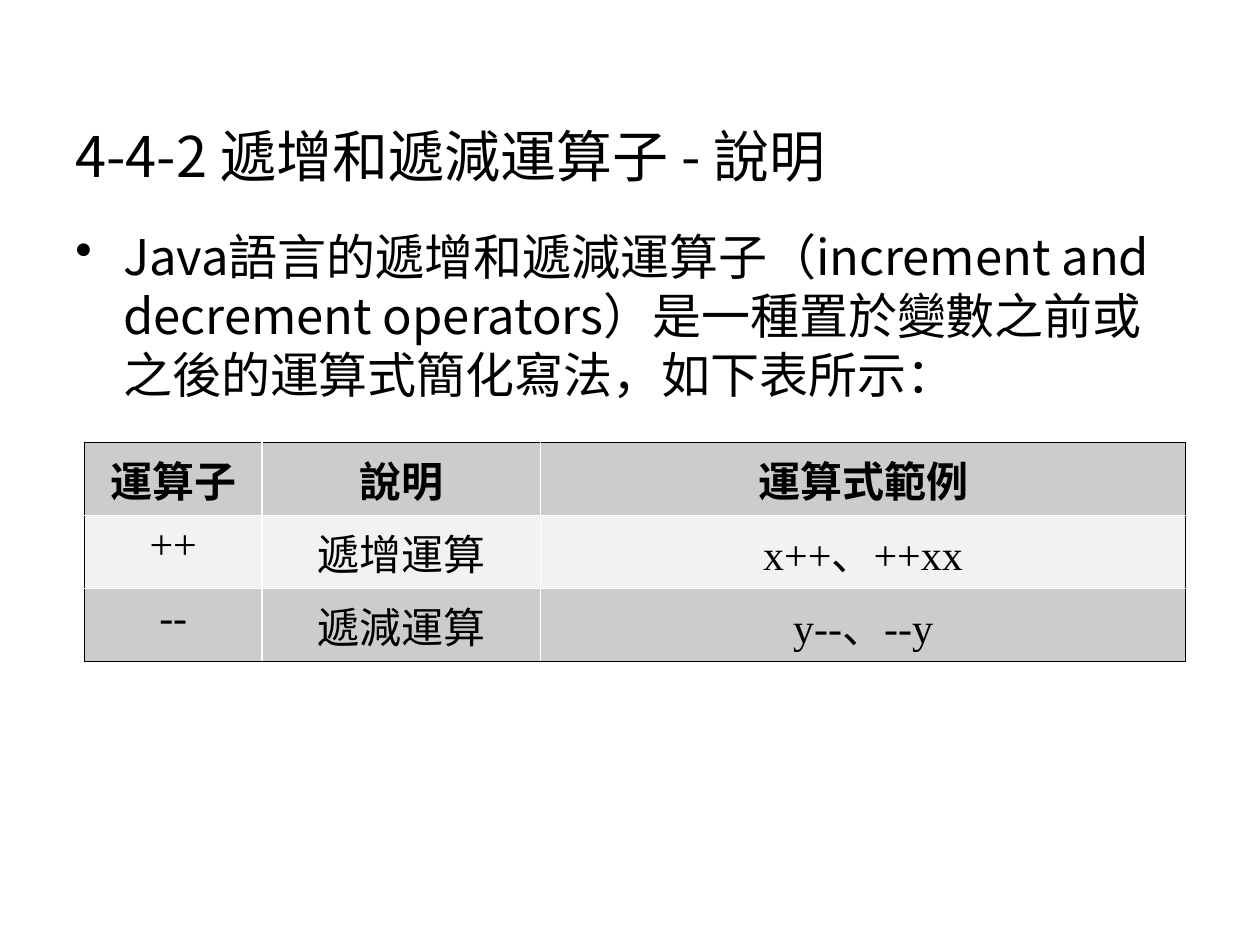
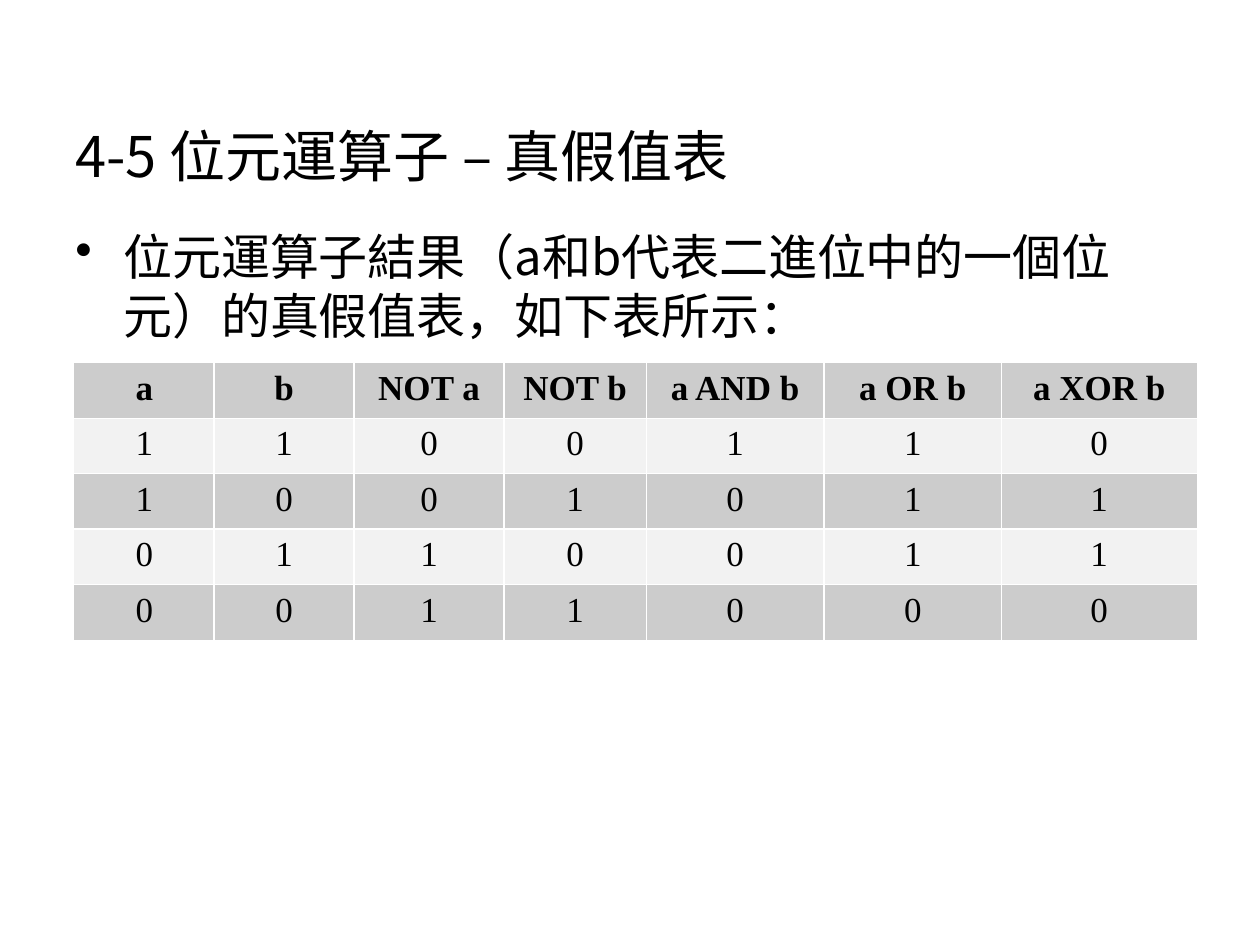
from lxml.etree import SubElement
from pptx import Presentation
from pptx.dml.color import RGBColor
from pptx.enum.text import MSO_ANCHOR, PP_ALIGN
from pptx.oxml.ns import qn
from pptx.util import Inches, Pt

SLIDES = [
    {
        "title": "4-4-2 遞增和遞減運算子 - 說明",
        "body": "Java語言的遞增和遞減運算子（increment and decrement operators）"
                "是一種置於變數之前或之後的運算式簡化寫法，如下表所示：",
        "rows": [
            ["運算子", "說明", "運算式範例"],
            ["++", "遞增運算", "x++、++xx"],
            ["--", "遞減運算", "y--、--y"],
        ],
        "corner": (0.67, 3.51), "columns": [1.41, 2.21, 5.12],
        "row_height": 0.58, "size": 24, "outline": "000000",
    },
    {
        "title": "4-5 位元運算子 – 真假值表",
        "body": "位元運算子結果（a和b代表二進位中的一個位元）的真假值表，如下表所示：",
        "rows": [
            ["a", "b", "NOT a", "NOT b", "a AND b", "a OR b", "a XOR b"],
            *(list(bits) for bits in ("1100110", "1001011", "0110011", "0011000")),
        ],
        "corner": (0.59, 2.88), "columns": [1.11, 1.11, 1.19, 1.13, 1.41, 1.41, 1.55],
        "row_height": 0.44, "size": 20, "outline": None,
    },
]

SANS, SERIF = "Noto Sans CJK SC", "Times New Roman"
INK, GRID = "000000", "FFFFFF"
BANDS = ["CCCCCC", "F2F2F2"]
GRID_WIDTH, OUTLINE_WIDTH = 0.96, 0.45
TITLE_BOX, BODY_BOX = (0.5, 0.3, 9, 1.25), (0.5, 1.75, 9, 4.95)
TITLE_FONT = {"name": SANS, "size": Pt(32), "bold": False}
BODY_FONT = {"name": SANS, "size": Pt(28), "bold": False}
BULLET_INDENT = Inches(0.38)


def color(value):
    return RGBColor.from_string(value)


def write(paragraph, text, font):
    """Add one run, with East Asian characters always in the sans font."""
    run = paragraph.add_run()
    run.text = text
    for name, value in font.items():
        setattr(run.font, name, value)
    run.font.color.rgb = color(INK)
    SubElement(run.font._element, qn("a:ea"), typeface=SANS)


def add_text(slide, box, text, font, anchor):
    frame = slide.shapes.add_textbox(*map(Inches, box)).text_frame
    frame.word_wrap = True
    frame.vertical_anchor = anchor
    paragraph = frame.paragraphs[0]
    write(paragraph, text, font)
    return paragraph


def add_bullet(paragraph):
    properties = paragraph._p.get_or_add_pPr()
    properties.set("marL", str(BULLET_INDENT))
    properties.set("indent", str(-BULLET_INDENT))
    SubElement(properties, qn("a:buChar"), char="•")


def set_border(cell, side, value, width):
    """Draw one side of a cell; no value means no line."""
    line = SubElement(cell._tc.get_or_add_tcPr(), qn(f"a:ln{side}"), w=str(Pt(width)))
    if value:
        SubElement(SubElement(line, qn("a:solidFill")), qn("a:srgbClr"), val=value)
    else:
        SubElement(line, qn("a:noFill"))


def add_grid(slide, content):
    rows, columns = content["rows"], content["columns"]
    height = content["row_height"]
    size = (sum(columns), height * len(rows))
    table = slide.shapes.add_table(
        len(rows), len(columns), *map(Inches, content["corner"] + size)).table
    for column, width in zip(table.columns, columns):
        column.width = Inches(width)
    for row_index, row in enumerate(rows):
        table.rows[row_index].height = Inches(height)
        for column_index, text in enumerate(row):
            cell = table.cell(row_index, column_index)
            paragraph = cell.text_frame.paragraphs[0]
            paragraph.alignment = PP_ALIGN.CENTER
            write(paragraph, text, {"name": SERIF, "size": Pt(content["size"]),
                                    "bold": row_index == 0})
            on_edge = {
                "L": column_index == 0, "R": column_index == len(columns) - 1,
                "T": row_index == 0, "B": row_index == len(rows) - 1,
            }
            for side, outer in on_edge.items():
                if outer:
                    set_border(cell, side, content["outline"], OUTLINE_WIDTH)
                else:
                    set_border(cell, side, GRID, GRID_WIDTH)
            cell.fill.solid()
            cell.fill.fore_color.rgb = color(BANDS[row_index % 2])


def main():
    presentation = Presentation()
    presentation.slide_width, presentation.slide_height = Inches(10), Inches(7.5)
    for content in SLIDES:
        slide = presentation.slides.add_slide(presentation.slide_layouts[6])
        add_text(slide, TITLE_BOX, content["title"], TITLE_FONT, MSO_ANCHOR.BOTTOM)
        add_bullet(add_text(slide, BODY_BOX, content["body"], BODY_FONT, MSO_ANCHOR.TOP))
        add_grid(slide, content)
    presentation.save("out.pptx")


if __name__ == "__main__":
    main()
